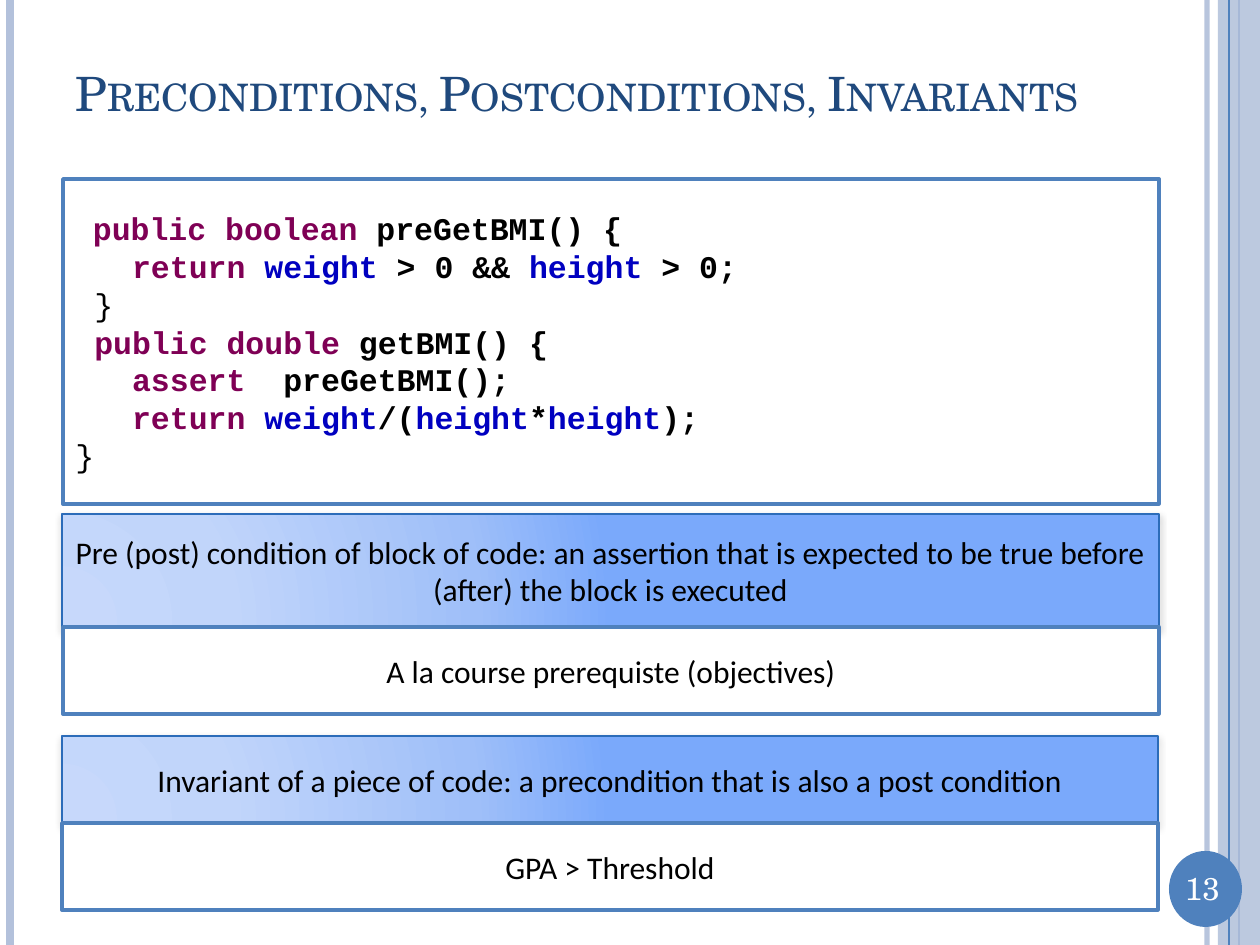
from dataclasses import dataclass
from typing import Optional

from lxml.etree import SubElement
from pptx import Presentation
from pptx.dml.color import RGBColor
from pptx.enum.shapes import MSO_CONNECTOR as Connector, MSO_SHAPE as Shape
from pptx.enum.text import MSO_ANCHOR as Anchor, MSO_AUTO_SIZE as AutoSize, PP_ALIGN as Align
from pptx.oxml import parse_xml
from pptx.oxml.ns import nsdecls, qn
from pptx.util import Emu, Pt

WIDTH, HEIGHT = 1260, 945
BLUE, PALE, NAVY, BLACK, WHITE = "4F81BD", "B3C1DB", "1F497D", "000000", "FFFFFF"
SERIF, SANS, MONO = "TeX Gyre Schola", "Calibri", "Courier New"
KEYWORD, FIELD = "7F0055", "0000C0"
GRADIENT_STOPS = {0: "C7D8FB", 30: "C1D5FA", 75: "9FBFF9", 100: "7AA9FB"}


@dataclass(frozen=True)
class Box:
    left: int
    top: int
    width: int
    height: int


@dataclass(frozen=True)
class Stripe:
    x: int
    color: str
    weight: float
    opacity: int = 100


@dataclass(frozen=True)
class Panel:
    box: Box
    text: str
    is_heading: bool


@dataclass(frozen=True)
class Token:
    text: str
    color: str = BLACK
    bold: bool = True
    font: str = MONO


STRIPES = [
    Stripe(1207, PALE, 3, 93),
    Stripe(10, PALE, 4.5),
    Stripe(1239, BLUE, 1.5),
]
INNER_STRIPE = Stripe(1229, BLUE, 0.75)

PANELS = [
    Panel(Box(62, 514, 1097, 113),
          "Pre (post) condition of block of code: an assertion that is expected "
          "to be true before (after) the block is executed", True),
    Panel(Box(63, 627, 1096, 87), "A la course prerequiste (objectives)", False),
    Panel(Box(62, 736, 1096, 87),
          "Invariant of a piece of code: a precondition that is also a post condition", True),
    Panel(Box(62, 823, 1096, 87), "GPA > Threshold", False),
]

WEIGHT, BODY_HEIGHT = Token("weight", FIELD), Token("height", FIELD)
RETURN = Token("   return ", KEYWORD)
CODE_LINES = [
    [Token("  ", bold=False, font=SERIF), Token("public boolean ", KEYWORD),
     Token("preGetBMI() {")],
    [RETURN, WEIGHT, Token(" > 0 && "), BODY_HEIGHT, Token(" > 0;")],
    [Token(" }", bold=False)],
    [Token(" public double ", KEYWORD), Token("getBMI() {")],
    [Token("   assert  ", KEYWORD), Token("preGetBMI();")],
    [RETURN, WEIGHT, Token("/("), BODY_HEIGHT, Token("*"), BODY_HEIGHT, Token(");")],
    [Token("}", bold=False)],
]


def px(length: int) -> Emu:
    return Emu(round(length * 914400 / 126))


def place(box: Box) -> list:
    return [px(n) for n in (box.left, box.top, box.width, box.height)]


def apply(target, values: dict) -> None:
    for name, value in values.items():
        setattr(target, name, value)


def paint(color_format, color: str) -> None:
    color_format.rgb = RGBColor.from_string(color)


def set_opacity(properties, percent: int) -> None:
    for color in properties.iter(qn("a:srgbClr")):
        SubElement(color, qn("a:alpha"), val=str(percent * 1000))


def write(paragraph, token: Token, size: int = 18):
    run = paragraph.add_run()
    run.text = token.text
    apply(run.font, {"name": token.font, "size": Pt(size), "bold": token.bold})
    paint(run.font.color, token.color)
    return run


def add_stripe(slide, stripe: Stripe) -> None:
    line = slide.shapes.add_connector(
        Connector.STRAIGHT, px(stripe.x), 0, px(stripe.x), px(HEIGHT))
    line.line.width = Pt(stripe.weight)
    paint(line.line.color, stripe.color)
    properties = line._element.spPr
    if stripe.opacity < 100:
        set_opacity(properties, stripe.opacity)
    SubElement(properties, qn("a:effectLst"))


def add_block(slide, kind, box: Box, fill: str,
              outline: Optional[str] = None, weight: float = 2):
    block = slide.shapes.add_shape(kind, *place(box))
    block.shadow.inherit = False
    block.fill.solid()
    paint(block.fill.fore_color, fill)
    if outline:
        block.line.width = Pt(weight)
        paint(block.line.color, outline)
    else:
        block.line.fill.background()
    return block


def add_heading_effects(heading) -> None:
    properties = heading._element.spPr
    stops = "".join(
        f'<a:gs pos="{position * 1000}"><a:srgbClr val="{color}"/></a:gs>'
        for position, color in GRADIENT_STOPS.items())
    gradient = parse_xml(
        f'<a:gradFill {nsdecls("a")} rotWithShape="1"><a:gsLst>{stops}</a:gsLst>'
        '<a:path path="circle">'
        '<a:fillToRect l="5000" t="100000" r="120000" b="10000"/>'
        '</a:path></a:gradFill>')
    properties.replace(properties.find(qn("a:solidFill")), gradient)
    shadow = SubElement(
        properties.find(qn("a:effectLst")), qn("a:outerShdw"),
        blurRad=str(Pt(4)), dist=str(Pt(2)), dir="5400000", rotWithShape="0")
    SubElement(shadow, qn("a:srgbClr"), val=BLACK)
    set_opacity(shadow, 40)


def add_panel(slide, panel: Panel) -> None:
    outline, weight = ("2C6CB9", 1) if panel.is_heading else (BLUE, 2)
    block = add_block(slide, Shape.RECTANGLE, panel.box, WHITE, outline, weight)
    if panel.is_heading:
        add_heading_effects(block)
    sides = ("margin_left", "margin_top", "margin_right", "margin_bottom")
    apply(block.text_frame, {"word_wrap": True, "vertical_anchor": Anchor.MIDDLE,
                             **dict.fromkeys(sides, px(6))})
    sentence = block.text_frame.paragraphs[0]
    sentence.alignment = Align.CENTER
    write(sentence, Token(panel.text, bold=False, font=SANS))


def add_code(slide) -> None:
    listing = add_block(slide, Shape.RECTANGLE, Box(63, 179, 1096, 325), WHITE, BLUE)
    frame = listing.text_frame
    apply(frame, {"word_wrap": True, "vertical_anchor": Anchor.MIDDLE})
    for index, tokens in enumerate(CODE_LINES):
        code_line = frame.add_paragraph() if index else frame.paragraphs[0]
        code_line.alignment = Align.LEFT
        for token in tokens:
            write(code_line, token)


def add_title(slide) -> None:
    title = slide.shapes.title
    apply(title, dict(zip(("left", "top", "width", "height"),
                          place(Box(63, 38, 1092, 110)))))
    apply(title.text_frame, {"word_wrap": True, "vertical_anchor": Anchor.MIDDLE,
                             "auto_size": AutoSize.NONE})
    heading = title.text_frame.paragraphs[0]
    heading.alignment = Align.LEFT
    run = write(heading, Token("Preconditions, Postconditions, Invariants",
                               NAVY, False, SERIF), 27)
    run.font._element.set("cap", "small")


def add_page_number(slide) -> None:
    add_block(slide, Shape.OVAL, Box(1169, 851, 73, 76), BLUE)
    number = slide.shapes.add_textbox(*place(Box(1166, 863, 73, 50)))
    apply(number.text_frame, {"word_wrap": True, "auto_size": AutoSize.SHAPE_TO_FIT_TEXT})
    digits = number.text_frame.paragraphs[0]
    digits.alignment = Align.CENTER
    write(digits, Token("13", WHITE, False, SERIF))


def main() -> None:
    deck = Presentation()
    apply(deck, {"slide_width": px(WIDTH), "slide_height": px(HEIGHT)})
    slide = deck.slides.add_slide(deck.slide_layouts[5])
    for stripe in STRIPES:
        add_stripe(slide, stripe)
    band = add_block(slide, Shape.RECTANGLE, Box(1218, 0, 42, HEIGHT), PALE)
    set_opacity(band._element.spPr, 87)
    add_stripe(slide, INNER_STRIPE)
    add_page_number(slide)
    add_title(slide)
    add_code(slide)
    for panel in PANELS:
        add_panel(slide, panel)
    deck.save("out.pptx")


if __name__ == "__main__":
    main()
